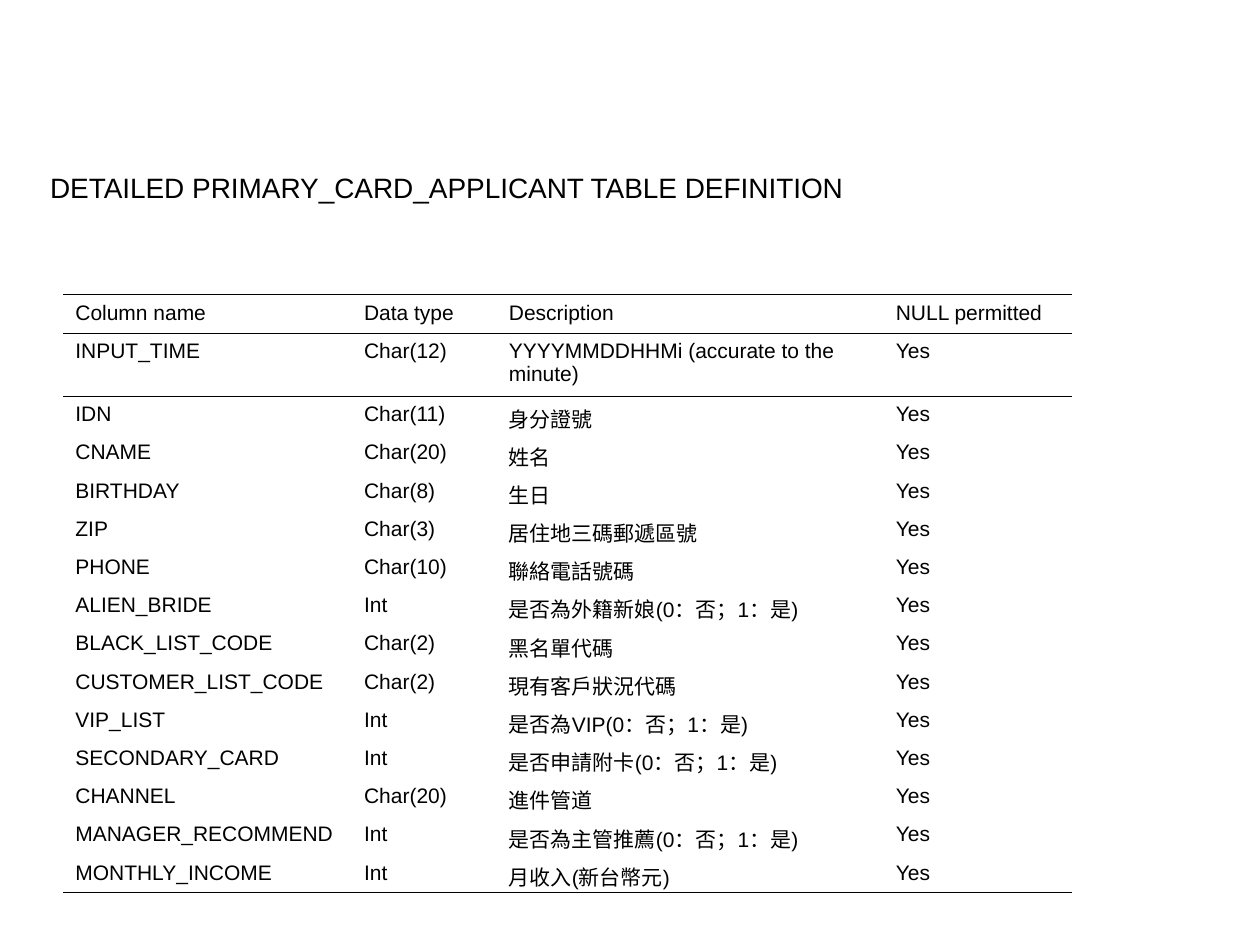
from dataclasses import dataclass

from lxml.etree import SubElement as Sub
from pptx import Presentation
from pptx.dml.color import RGBColor as Rgb
from pptx.enum.text import MSO_ANCHOR as Anchor, MSO_AUTO_SIZE as Fit, PP_ALIGN as Align
from pptx.oxml.ns import qn
from pptx.util import Cm, Pt


@dataclass(frozen=True)
class Theme:
    face: str = "Arial"
    ink: str = "000000"
    head: float = 16
    body: float = 12
    edge: float = 0.75
    rule: float = 0.45
    plain: str = "{2D5ABB26-0587-4C30-8999-92F81FD0307C}"


THEME = Theme()
TITLE = "DETAILED PRIMARY_CARD_APPLICANT TABLE DEFINITION"
HEADS = ("Column name", "Data type", "Description", "NULL permitted")
FIELDS = (
    ("INPUT_TIME", "Char(12)", "YYYYMMDDHHMi (accurate to the minute)"),
    ("IDN", "Char(11)", "身分證號"),
    ("CNAME", "Char(20)", "姓名"),
    ("BIRTHDAY", "Char(8)", "生日"),
    ("ZIP", "Char(3)", "居住地三碼郵遞區號"),
    ("PHONE", "Char(10)", "聯絡電話號碼"),
    ("ALIEN_BRIDE", "Int", "是否為外籍新娘(0：否；1：是)"),
    ("BLACK_LIST_CODE", "Char(2)", "黑名單代碼"),
    ("CUSTOMER_LIST_CODE", "Char(2)", "現有客戶狀況代碼"),
    ("VIP_LIST", "Int", "是否為VIP(0：否；1：是)"),
    ("SECONDARY_CARD", "Int", "是否申請附卡(0：否；1：是)"),
    ("CHANNEL", "Char(20)", "進件管道"),
    ("MANAGER_RECOMMEND", "Int", "是否為主管推薦(0：否；1：是)"),
    ("MONTHLY_INCOME", "Int", "月收入(新台幣元)"),
)
WIDTHS = (5.82, 2.92, 7.8, 3.81)
ROW, TALL = 0.77, 1.27
INSETS = {
    "margin_left": Cm(0.25), "margin_right": Cm(0.25),
    "margin_top": Cm(0.13), "margin_bottom": Cm(0.13),
    "vertical_anchor": Anchor.TOP,
}


def apply(item, form):
    for name, value in form.items():
        setattr(item, name, value)


def write(frame, text, size):
    frame.text = text
    para = frame.paragraphs[0]
    para.alignment = Align.LEFT
    font = para.runs[0].font
    apply(font, {"name": THEME.face, "size": Pt(size), "bold": False})
    font.color.rgb = Rgb.from_string(THEME.ink)


def add_title(slide):
    title = slide.shapes.title
    apply(title, {"left": Cm(0.76), "top": Cm(3.3),
                  "width": Cm(23.6), "height": Cm(0.94)})
    frame = title.text_frame
    apply(frame, INSETS | {"word_wrap": True, "auto_size": Fit.SHAPE_TO_FIT_TEXT})
    write(frame, TITLE, THEME.head)


def add_line(cell, side, width):
    line = Sub(cell._tc.get_or_add_tcPr(), qn(f"a:ln{side}"), w=str(Pt(width)))
    fill = Sub(line, qn("a:solidFill"))
    Sub(fill, qn("a:srgbClr"), val=THEME.ink)


def add_table(slide):
    rows = [HEADS] + [(*field, "Yes") for field in FIELDS]
    tall = [TALL if i == 1 else ROW for i in range(len(rows))]
    table = slide.shapes.add_table(
        len(rows), len(HEADS), Cm(1.27), Cm(5.94),
        Cm(sum(WIDTHS)), Cm(sum(tall))).table
    apply(table, {"first_row": False, "horz_banding": False})
    table._tbl.tblPr.find(qn("a:tableStyleId")).text = THEME.plain
    for col, width in zip(table.columns, WIDTHS):
        col.width = Cm(width)

    # Horizontal rules: above and below the header, and at the foot
    lines = {0: {"T": THEME.edge, "B": THEME.rule},
             1: {"T": THEME.rule},
             len(rows) - 1: {"B": THEME.edge}}
    for i, texts in enumerate(rows):
        table.rows[i].height = Cm(tall[i])
        for cell, text in zip(table.rows[i].cells, texts):
            apply(cell, INSETS)
            for side, width in lines.get(i, {}).items():
                add_line(cell, side, width)
            cell.fill.background()
            write(cell.text_frame, text, THEME.body)


def main():
    deck = Presentation()
    apply(deck, {"slide_width": Cm(25.4), "slide_height": Cm(19.05)})
    slide = deck.slides.add_slide(deck.slide_layouts[5])
    # Heading
    add_title(slide)
    # Column definitions
    add_table(slide)
    deck.save("out.pptx")


if __name__ == "__main__":
    main()
